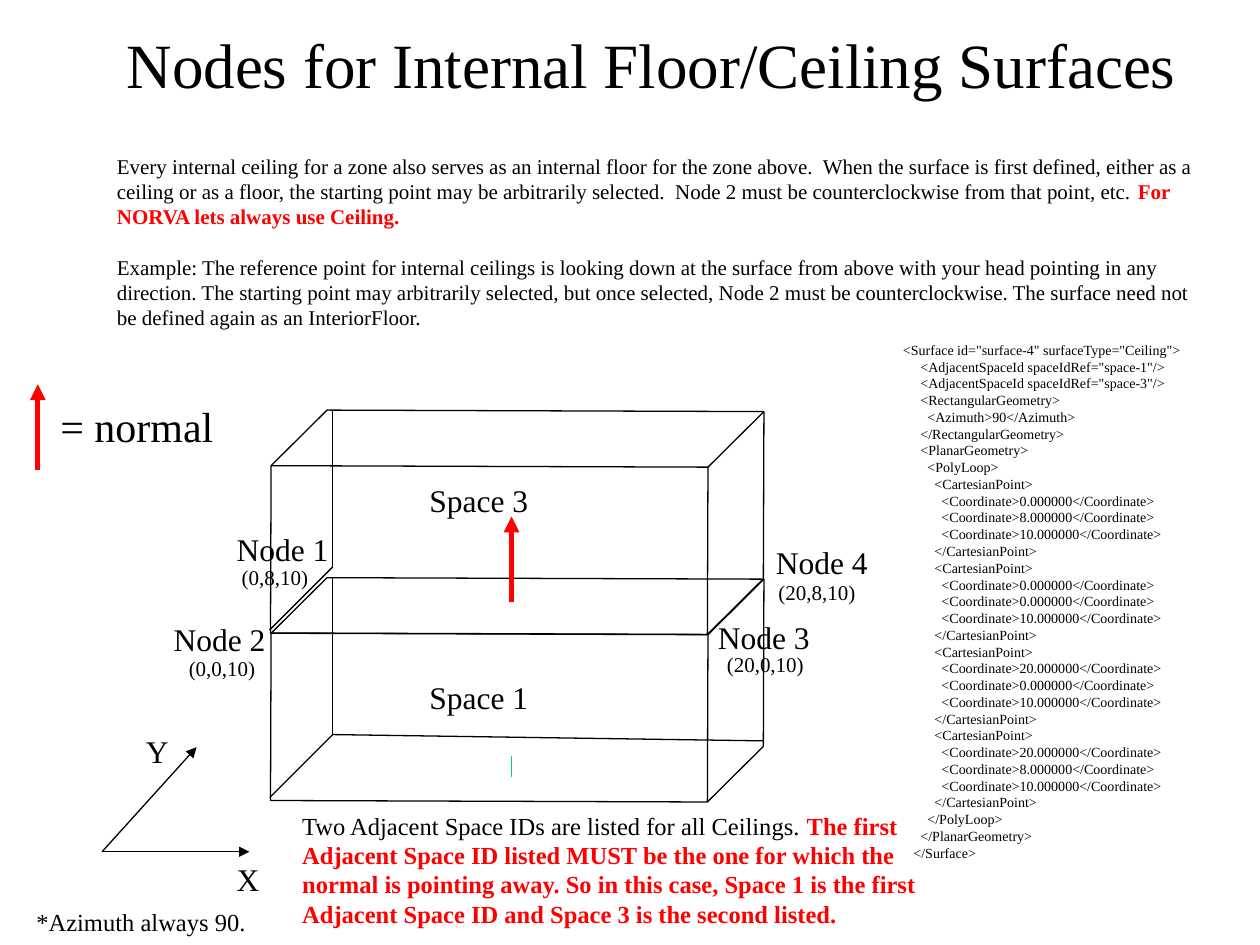
"""Builds the slide on nodes for internal floor and ceiling surfaces."""
from dataclasses import dataclass

from lxml.etree import SubElement
from pptx import Presentation
from pptx.dml.color import RGBColor
from pptx.enum.shapes import MSO_CONNECTOR, MSO_SHAPE
from pptx.enum.text import MSO_ANCHOR, PP_ALIGN
from pptx.oxml.ns import qn
from pptx.util import Inches, Pt


@dataclass(frozen=True)
class Theme:
    """Colours, font, type sizes and line widths of the slide."""
    font: str = "Times New Roman"
    black: str = "000000"
    red: str = "FF0000"
    green: str = "00CC98"
    title: int = 36
    legend: int = 24
    label: int = 18
    note: int = 14
    body: int = 12
    code: int = 8
    thin: float = 0.74
    thick: float = 3


THEME = Theme()


def add_text(slide, box, paragraphs, size, align=PP_ALIGN.LEFT, gap=0, anchor=MSO_ANCHOR.TOP):
    """Add a text box; each paragraph is a list of (text, is_warning) runs."""
    shape = slide.shapes.add_textbox(*map(Inches, box))
    frame = shape.text_frame
    frame.word_wrap = True
    frame.vertical_anchor = anchor
    for index, runs in enumerate(paragraphs):
        paragraph = frame.add_paragraph() if index else frame.paragraphs[0]
        paragraph.alignment = align
        paragraph.space_before = Pt(gap if index else 0)
        for text, is_warning in runs:
            run = paragraph.add_run()
            run.text = text
            run.font.name = THEME.font
            run.font.size = Pt(size)
            run.font.bold = is_warning
            run.font.color.rgb = RGBColor.from_string(THEME.red if is_warning else THEME.black)
    return shape


def add_label(slide, left, top, text, size=THEME.label, width=2.17):
    """Add a one-line label whose height follows its type size."""
    return add_text(slide, (left, top, width, 0.1 + size / 60), [[(text, False)]], size)


def add_line(slide, start, end, color=THEME.black, width=THEME.thin, arrow=False):
    """Add a straight line, with an arrowhead at its end if wanted."""
    line = slide.shapes.add_connector(MSO_CONNECTOR.STRAIGHT, *map(Inches, (*start, *end)))
    line.line.color.rgb = RGBColor.from_string(color)
    line.line.width = Pt(width)
    if arrow:
        SubElement(line.line._get_or_add_ln(), qn("a:tailEnd"), type="triangle")
    SubElement(line._element.spPr, qn("a:effectLst"))
    return line


def add_normal(slide, left, top):
    """Add the red arrow that stands for a surface normal."""
    add_line(slide, (left, top + 0.68), (left, top), THEME.red, THEME.thick, True)


def add_space(slide, left, top, height, name, label_top):
    """Add one named space as an open cube with its hidden rear edge."""
    cube = slide.shapes.add_shape(MSO_SHAPE.CUBE, *map(Inches, (left, top, 3.91, 1.77)))
    cube.shadow.inherit = False
    cube.rotation = 0.2
    cube.fill.background()
    cube.line.color.rgb = RGBColor.from_string(THEME.black)
    cube.line.width = Pt(THEME.thin)
    rear, floor = left + 0.49, top + height
    add_line(slide, (rear, floor - height), (rear, floor))
    add_line(slide, (left - 0.01, floor + 0.5), (rear, floor))
    add_label(slide, left + 1.16, label_top, name)


def add_building(slide, left, top):
    """Add the two stacked spaces, their shared nodes and the normal."""
    add_space(slide, left, top, 1.24, "Space 3", top + 0.51)
    add_space(slide, left, top + 1.33, 1.24, "Space 1", top + 2.07)
    add_line(slide, (left + 0.49, top + 2.57), (left + 3.91, top + 2.62))
    add_line(slide, (left + 1.91, top + 2.91), (left + 1.91, top + 2.74), THEME.green)
    add_normal(slide, left + 1.91, top + 0.84)
    nodes = [
        ("Node 1", -0.37, 0.90, "(0,8,10)", -0.33, 1.17),
        ("Node 2", -0.87, 1.61, "(0,0,10)", -0.75, 1.89),
        ("Node 3", 3.45, 1.60, "(20,0,10)", 3.52, 1.86),
        ("Node 4", 3.91, 1.00, "(20,8,10)", 3.93, 1.29),
    ]
    for name, name_x, name_y, point, point_x, point_y in nodes:
        add_label(slide, left + name_x, top + name_y, name)
        add_label(slide, left + point_x, top + point_y, point, THEME.body, 1.25)


def add_axes(slide, left, top):
    """Add the X and Y axes from their origin at the lower left."""
    origin = (left, top + 0.83)
    add_line(slide, origin, (left + 0.75, top), arrow=True)
    add_line(slide, origin, (left + 1.17, top + 0.83), arrow=True)
    add_label(slide, left + 0.97, top + 0.85, "X", width=0.58)
    add_label(slide, left + 0.25, top - 0.17, "Y", width=0.58)


def add_legend(slide, left, top):
    """Add the key that explains the red arrow."""
    add_normal(slide, left, top)
    add_label(slide, left + 0.08, top + 0.08, "= normal", THEME.legend, 1.58)


def surface_lines():
    """Return the surface markup as (indent in spaces, text) pairs."""
    corners = [(0, 8), (0, 0), (20, 0), (20, 8)]
    lines = [
        (1, '<Surface id="surface-4" surfaceType="Ceiling">'),
        (6, '<AdjacentSpaceId spaceIdRef="space-1"/>'),
        (6, '<AdjacentSpaceId spaceIdRef="space-3"/>'),
        (6, "<RectangularGeometry>"),
        (8, "<Azimuth>90</Azimuth>"),
        (6, "</RectangularGeometry>"),
        (6, "<PlanarGeometry>"),
        (8, "<PolyLoop>"),
    ]
    for x, y in corners:
        lines.append((10, "<CartesianPoint>"))
        lines += [(12, f"<Coordinate>{value:.6f}</Coordinate>") for value in (x, y, 10)]
        lines.append((10, "</CartesianPoint>"))
    return lines + [(8, "</PolyLoop>"), (6, "</PlanarGeometry>"), (4, "</Surface>")]


def add_code(slide, box):
    """Add the surface markup, indented by a quarter of the type size per space."""
    lines = surface_lines()
    shape = add_text(slide, box, [[(text, False)] for _, text in lines], THEME.code)
    for paragraph, (indent, _) in zip(shape.text_frame.paragraphs, lines):
        properties = paragraph._p.get_or_add_pPr()
        properties.set("marL", str(Pt(indent * THEME.code / 4)))
        properties.set("indent", "0")


def add_explanation(slide, box):
    """Add the two introductory paragraphs."""
    add_text(slide, box, [
        [("Every internal ceiling for a zone also serves as an internal floor for the zone above.  "
          "When the surface is first defined, either as a ceiling or as a floor, the starting point "
          "may be arbitrarily selected.  Node 2 must be counterclockwise from that point, etc. ", False),
         ("For NORVA lets always use Ceiling.", True)],
        [("Example: The reference point for internal ceilings is looking down at the surface from "
          "above with your head pointing in any direction. The starting point may arbitrarily "
          "selected, but once selected, Node 2 must be counterclockwise. The surface need not be "
          "defined again as an InteriorFloor.", False)],
    ], THEME.body, gap=14.4)


def add_adjacency_note(slide, box):
    """Add the note on the order of the adjacent spaces."""
    add_text(slide, box, [[
        ("Two Adjacent Space IDs are listed for all Ceilings. ", False),
        ("The first Adjacent Space ID listed MUST be the one for which the normal is pointing away. "
         "So in this case, Space 1 is the first Adjacent Space ID and Space 3 is the second listed.", True),
    ]], THEME.note, anchor=MSO_ANCHOR.MIDDLE)


def build():
    """Build and save the presentation."""
    presentation = Presentation()
    presentation.slide_width, presentation.slide_height = Inches(10), Inches(7.5)
    slide = presentation.slides.add_slide(presentation.slide_layouts[6])
    add_text(slide, (0.17, 0, 10, 1), [[("Nodes for Internal Floor/Ceiling Surfaces", False)]],
             THEME.title, PP_ALIGN.CENTER, anchor=MSO_ANCHOR.MIDDLE)
    add_explanation(slide, (0.83, 1.17, 8.83, 1.5))
    add_building(slide, 2.15, 3.26)
    add_axes(slide, 0.81, 5.93)
    add_legend(slide, 0.3, 3.05)
    add_adjacency_note(slide, (2.3, 6.38, 5.37, 1.04))
    add_code(slide, (7.04, 2.66, 2.98, 4.23))
    add_label(slide, 0.19, 7.15, "*Azimuth always 90.", THEME.note, 5.33)
    presentation.save("out.pptx")


build()
